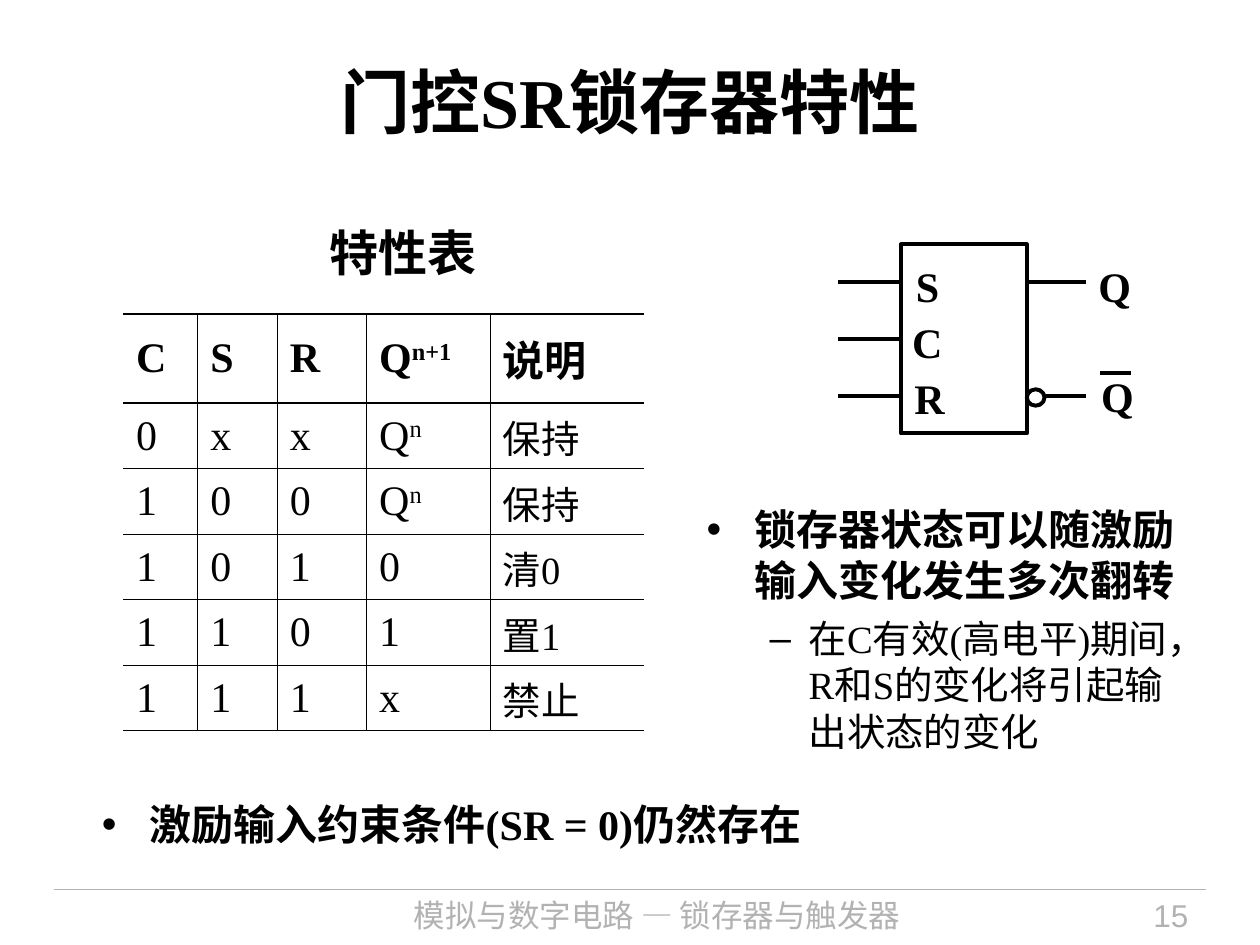
"""Build the slide on the traits of the gated SR latch."""
from typing import NamedTuple

from lxml.etree import SubElement as Sub
from pptx import Presentation as Deck
from pptx.dml.color import RGBColor as Rgb
from pptx.enum.shapes import MSO_CONNECTOR as Link, MSO_SHAPE as Form
from pptx.enum.text import MSO_ANCHOR as Anchor, MSO_AUTO_SIZE as Fit, PP_ALIGN as Align
from pptx.oxml import parse_xml
from pptx.oxml.ns import nsdecls, qn
from pptx.util import Pt

PX = 9144
HUES = {"ink": "000000", "gray": "B2B2B2", "paper": "FFFFFF"}
SERIF, SANS, HAN = "Times New Roman", "Arial", "Noto Sans CJK SC"


class Box(NamedTuple):
    left: int
    top: int
    width: int
    height: int


class Label(NamedTuple):
    text: str
    box: Box
    style: dict


class Wire(NamedTuple):
    start: int
    end: int
    y: int
    hue: str = "ink"
    weight: float = 2.25


def scale(box: Box) -> list[int]:
    return [PX * side for side in box]


def color(name: str) -> Rgb:
    return Rgb.from_string(HUES[name])


def write(para, text: str, *, size: float = 24, font: str = SERIF, hue: str = "ink",
          bold: bool = False, align=Align.LEFT, after: float = 0, space: float = 1,
          mark: str = "", indent: int = 0, hang: int = 0) -> None:
    props = para._p.get_or_add_pPr()
    if mark:
        props.set("marL", str(indent * PX))
        props.set("indent", str(-hang * PX))
        Sub(Sub(props, qn("a:buClr")), qn("a:srgbClr"), val=HUES[hue])
        Sub(props, qn("a:buFont"), typeface=SANS)
        Sub(props, qn("a:buChar"), char=mark)
    para.alignment, para.line_spacing, para.space_after = align, space, Pt(after)
    for place, part in enumerate(text.split("^")):
        run = para.add_run()
        run.text = part
        face = run.font
        face.size, face.bold, face.name = Pt(size), bold, font
        face.color.rgb = color(hue)
        marks = run._r.get_or_add_rPr()
        Sub(marks, qn("a:ea"), typeface=HAN)
        if place:
            marks.set("baseline", "30000")


def frame(slide, box: Box, wrap: bool = True, anchor=Anchor.TOP):
    body = slide.shapes.add_textbox(*scale(box)).text_frame
    body.word_wrap, body.vertical_anchor = wrap, anchor
    body.auto_size = Fit.NONE if wrap else Fit.SHAPE_TO_FIT_TEXT
    return body


def wire(slide, item: Wire) -> None:
    start, end, y = (PX * side for side in item[:3])
    line = slide.shapes.add_connector(Link.STRAIGHT, start, y, end, y)
    line.line.color.rgb, line.line.width = color(item.hue), Pt(item.weight)
    Sub(line._element.spPr, qn("a:effectLst"))


def outline(slide, form, box: Box, filled: bool) -> None:
    shape = slide.shapes.add_shape(form, *scale(box))
    shape.shadow.inherit = False
    shape.line.color.rgb, shape.line.width = color("ink"), Pt(2.25)
    if filled:
        shape.fill.solid()
        shape.fill.fore_color.rgb = color("paper")
    else:
        shape.fill.background()


def border(cell, sides: dict[str, float]) -> None:
    props = cell._tc.get_or_add_tcPr()
    for place, (side, weight) in enumerate(sides.items()):
        paint = (f'<a:solidFill><a:srgbClr val="{HUES["ink"]}"/></a:solidFill>'
                 if weight else "<a:noFill/>")
        props.insert(place, parse_xml(
            f'<a:ln{side} {nsdecls("a")} w="{int(Pt(weight))}">{paint}</a:ln{side}>'))


def chart_truth(slide) -> None:
    rows = [row.split() for row in (
        "C S R Q^n+1 说明", "0 x x Q^n 保持", "1 0 0 Q^n 保持",
        "1 0 1 0 清0", "1 1 0 1 置1", "1 1 1 x 禁止")]
    widths, heights = [59, 63, 71, 98, 122], [71] + [52] * 5
    across = [0, 0.45, 0.45, 1.08, 0.45, 0]
    down = [0.96, 0.96] + [0.45] * 4 + [0.96]
    box = Box(98, 249, sum(widths), sum(heights))
    table = slide.shapes.add_table(len(rows), len(widths), *scale(box)).table
    table.first_row = table.horz_banding = False
    for col, width in zip(table.columns, widths):
        col.width = width * PX
    for r, row in enumerate(rows):
        table.rows[r].height = heights[r] * PX
        for c, text in enumerate(row):
            cell = table.cell(r, c)
            cell.vertical_anchor = Anchor.MIDDLE
            cell.fill.background()
            small = r > 0 and c == 4
            write(cell.text_frame.paragraphs[0], text, size=22 if small else 24,
                  bold=r == 0, after=5.5 if small else 6)
            edge = 1.08 if c < 3 else 0.96
            border(cell, {"L": across[c], "R": across[c + 1],
                          "T": down[r] if r else edge,
                          "B": edge if r == len(rows) - 1 else down[r + 1]})


def latch(slide) -> None:
    outline(slide, Form.RECTANGLE, Box(715, 194, 100, 150), False)
    pins = [Wire(715, 665, 224 + 45 * step) for step in range(3)]
    for item in pins + [Wire(815, 862, 224), Wire(824, 862, 314), Wire(873, 898, 296)]:
        wire(slide, item)
    outline(slide, Form.OVAL, Box(815, 309, 14, 13), True)
    for text, left, top, width in (("S", 717, 202, 38), ("C", 714, 246, 44),
                                   ("R", 716, 291, 44), ("Q", 862, 202, 46),
                                   ("Q", 864, 289, 46)):
        body = frame(slide, Box(left, top, width, 50), wrap=False)
        write(body.paragraphs[0], text, bold=True)


def main() -> None:
    deck = Deck()
    deck.slide_width, deck.slide_height = 1000 * PX, 750 * PX
    slide = deck.slides.add_slide(deck.slide_layouts[6])
    wire(slide, Wire(43, 957, 706, "gray", 0.75))
    foot = dict(size=18, hue="gray")
    point = dict(bold=True, after=6, mark="•", indent=38, hang=38)
    for item in (
            Label("模拟与数字电路 — 锁存器与触发器", Box(240, 706, 563, 44),
                  dict(foot, font=HAN, align=Align.CENTER)),
            Label("15", Box(820, 706, 133, 44), dict(foot, font=SANS, align=Align.RIGHT)),
            Label("激励输入约束条件(SR = 0)仍然存在", Box(71, 633, 862, 65),
                  dict(point, space=0.9))):
        write(frame(slide, item.box).paragraphs[0], item.text, **item.style)
    title = frame(slide, Box(50, 17, 900, 125), anchor=Anchor.MIDDLE)
    write(title.paragraphs[0], "门控SR锁存器特性", size=40, bold=True, align=Align.CENTER)
    head = frame(slide, Box(252, 172, 138, 57), wrap=False)
    write(head.paragraphs[0], "特性表", size=28, font=SANS, bold=True)
    latch(slide)
    chart_truth(slide)
    notes = frame(slide, Box(551, 395, 402, 236))
    write(notes.paragraphs[0], "锁存器状态可以随激励输入变化发生多次翻转", **point)
    detail = notes.add_paragraph()
    detail.level = 1
    write(detail, "在C有效(高电平)期间，R和S的变化将引起输出状态的变化",
          size=22, after=5.5, mark="–", indent=81, hang=31)
    deck.save("out.pptx")


if __name__ == "__main__":
    main()
